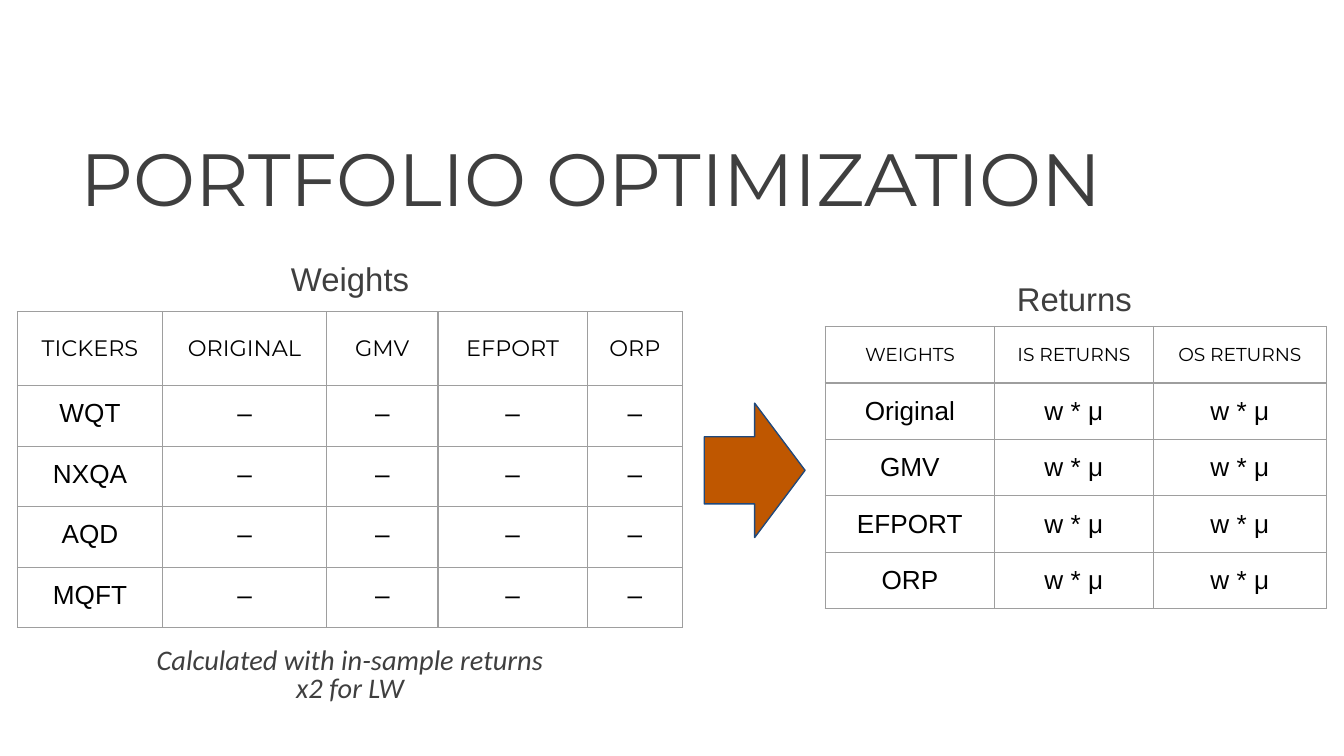
from lxml import etree
from pptx import Presentation
from pptx.dml.color import RGBColor as RGB
from pptx.enum.shapes import MSO_SHAPE as Shape
from pptx.enum.text import MSO_ANCHOR as Anchor, MSO_AUTO_SIZE as Fit, PP_ALIGN as Align
from pptx.oxml.ns import qn
from pptx.util import Inches, Pt

INK = RGB(0x3F, 0x3F, 0x3F)
BLACK = RGB(0, 0, 0)
GRID = RGB(0x9E, 0x9E, 0x9E)
NAVY = RGB(0x1F, 0x49, 0x7D)
ORANGE = RGB(0xBF, 0x57, 0x00)

TITLE = {"name": "Montserrat", "size": Pt(39.6), "bold": False}
LABEL = {"name": "Arial", "size": Pt(17.6), "bold": False}
NOTE = {"name": "Calibri", "size": Pt(15.2), "italic": True}
CELL = {"name": "Arial", "size": Pt(14), "bold": False}


def style(font, look, color):
    for key, value in look.items():
        setattr(font, key, value)
    font.color.rgb = color


def place(shape, box):
    for key, value in zip(("left", "top", "width", "height"), box):
        setattr(shape, key, Inches(value))


def put_text(holder, box, lines, look, align, anchor, space=None):
    """Fill a placeholder with plain, unbulleted paragraphs."""
    place(holder, box)
    frame = holder.text_frame
    frame.text = "\n".join(lines)
    frame.auto_size, frame.vertical_anchor = Fit.NONE, anchor
    for para in frame.paragraphs:
        para.alignment, para.line_spacing = align, space
        para.space_before = Pt(0)
        props = para._p.get_or_add_pPr()
        props.set("marL", "0")
        props.set("indent", "0")
        etree.SubElement(props, qn("a:buNone"))
        style(para.runs[0].font, look, INK)


def add_edges(cell):
    props = cell._tc.get_or_add_tcPr()
    for i, side in enumerate(("lnL", "lnR", "lnT", "lnB")):
        line = etree.Element(qn(f"a:{side}"), w=str(Pt(0.75)))
        fill = etree.SubElement(line, qn("a:solidFill"))
        etree.SubElement(fill, qn("a:srgbClr"), val=str(GRID))
        props.insert(i, line)


def add_grid(slide, left, top, widths, heights, rows, head, anchor):
    """Draw a bordered table whose first row uses its own font size."""
    box = map(Inches, (left, top, sum(widths), sum(heights)))
    table = slide.shapes.add_table(len(rows), len(widths), *box).table
    table.horz_banding = table.first_row = False
    for col, width in zip(table.columns, widths):
        col.width = Inches(width)
    for r, (row, height) in enumerate(zip(rows, heights)):
        table.rows[r].height = Inches(height)
        look = CELL if r else {**CELL, "name": "Montserrat", "size": Pt(head)}
        for c, text in enumerate(row):
            cell = table.cell(r, c)
            cell.text = text
            cell.fill.background()
            cell.vertical_anchor = anchor if r else Anchor.MIDDLE
            for side in ("left", "right", "top", "bottom"):
                setattr(cell, f"margin_{side}", Inches(0.1))
            para = cell.text_frame.paragraphs[0]
            para.alignment = Align.CENTER
            style(para.runs[0].font, look, BLACK)
            add_edges(cell)


def add_weights(slide, label, note, left, top):
    names = ["WQT", "NXQA", "AQD", "MQFT"]
    rows = [["TICKERS", "ORIGINAL", "GMV", "EFPORT", "ORP"]]
    rows += [[name] + ["–"] * 4 for name in names]
    add_grid(slide, left, top + 0.39, [1.08, 1.22, 0.83, 1.11, 0.71],
             [0.55] + [0.45] * 4, rows, 12, Anchor.TOP)
    put_text(label, (left + 0.69, top, 3.57, 0.35), ["Weights"],
             LABEL, Align.CENTER, Anchor.TOP, 0.8)
    put_text(note, (left + 0.69, top + 2.85, 3.57, 0.54),
             ["Calculated with in-sample returns", "x2 for LW"],
             NOTE, Align.CENTER, Anchor.TOP, 0.8)


def add_returns(slide, label, left, top):
    names = ["Original", "GMV", "EFPORT", "ORP"]
    rows = [["WEIGHTS", "IS RETURNS", "OS RETURNS"]]
    rows += [[name] + ["w * μ"] * 2 for name in names]
    add_grid(slide, left, top + 0.35, [1.26, 1.18, 1.29],
             [0.42] * 5, rows, 10, Anchor.MIDDLE)
    put_text(label, (left + 0.07, top, 3.57, 0.35), ["Returns"],
             LABEL, Align.CENTER, Anchor.TOP, 0.8)


def add_arrow(slide, box):
    arrow = slide.shapes.add_shape(Shape.RIGHT_ARROW, *map(Inches, box))
    arrow.shadow.inherit = False
    arrow.fill.solid()
    arrow.fill.fore_color.rgb = ORANGE
    arrow.line.color.rgb = NAVY
    arrow.line.width = Pt(0.75)


def main():
    deck = Presentation()
    # Widescreen, 16:9
    deck.slide_width = Inches(10)
    deck.slide_height = deck.slide_width * 9 // 16
    slide = deck.slides.add_slide(deck.slide_layouts.get_by_name("Comparison"))
    title, left, note, right, spare = slide.placeholders
    spare.element.getparent().remove(spare.element)

    # Title
    put_text(title, (0.5, 0.85, 9, 0.94), ["PORTFOLIO OPTIMIZATION"],
             TITLE, Align.LEFT, Anchor.MIDDLE)
    # Weights lead to returns
    add_weights(slide, left, note, 0.13, 1.93)
    add_arrow(slide, (5.24, 3, 0.75, 1))
    add_returns(slide, right, 6.14, 2.08)

    deck.save("out.pptx")


if __name__ == "__main__":
    main()
